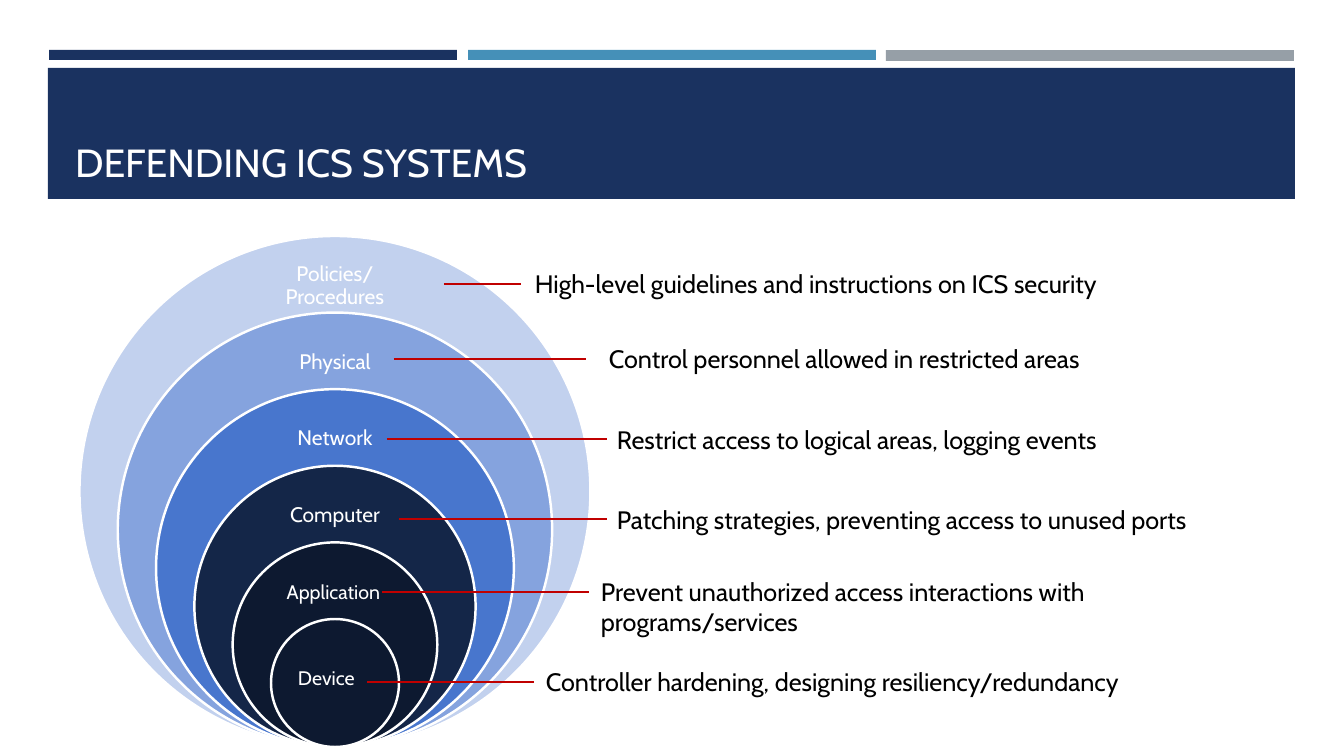
import pptx
import pptx.util
import pptx.dml.color
import pptx.enum.shapes
import pptx.enum.text
import lxml.etree

HEX = {"navy": "1A3260", "gray": "969FA7", "blue": "4590B8", "white": "FFFFFF",
       "black": "000000", "red": "C00000"}
FONT = "Cabin"
TITLE = "DEFENDING ICS SYSTEMS"
BARS = [(49, 50, 408, 10, "navy"), (886, 50, 408, 11, "gray"),
        (468, 50, 408, 10, "blue"), (48, 68, 1247, 131, "navy")]
RINGS = [("C2D1EE", "Policies/Procedures", 192), ("85A3DE", "Physical", 188),
         ("4876CD", "Network", 185), ("142648", "Computer", 152),
         ("0D1930", None, 0), ("0D1930", None, 0)]
INNER = [("Application", 263, 575, 141, "CENTER"), ("Device", 288, 661, 94, "LEFT")]
NOTES = [
    ("High-level guidelines and instructions on ICS security", 444, 521, 525, 263, 597),
    ("Control personnel allowed in restricted areas", 394, 586, 599, 338, 714),
    ("Restrict access to logical areas, logging events", 387, 607, 607, 419, 556),
    ("Patching strategies, preventing access to unused ports", 399, 607, 607, 499, 623),
    ("Prevent unauthorized access interactions with programs/services",
     382, 589, 591, 571, 699),
    ("Controller hardening, designing resiliency/redundancy", 367, 534, 536, 661, 699),
]
MID, BASE, BIG, SMALL = 335, 747, 511, 128
ROW = 40

MSO = pptx.enum.shapes.MSO_SHAPE
ANCHOR = pptx.enum.text.MSO_ANCHOR
ALIGN = pptx.enum.text.PP_ALIGN
FIT = pptx.enum.text.MSO_AUTO_SIZE


def px(n):
    return round(n * 914400 / 100.8)


def rgb(code):
    return pptx.dml.color.RGBColor.from_string(code)


def style(para, size, color, align="LEFT"):
    para.alignment = ALIGN[align]
    para.font.size = pptx.util.Pt(size)
    para.font.name = FONT
    para.font.color.rgb = rgb(HEX[color])


def form(kind, x, y, w, h, fill):
    shape = slide.shapes.add_shape(kind, px(x), px(y), px(w), px(h))
    shape.shadow.inherit = False
    shape.fill.solid()
    shape.fill.fore_color.rgb = rgb(fill)
    shape.line.fill.background()
    return shape


def label(text, x, y, w, h, size, color, align="LEFT"):
    box = slide.shapes.add_textbox(px(x), px(y), px(w), px(h))
    frame = box.text_frame
    frame.word_wrap = True
    frame.auto_size = FIT.SHAPE_TO_FIT_TEXT
    frame.text = text
    style(frame.paragraphs[0], size, color, align)
    return box


deck = pptx.Presentation()
deck.slide_width, deck.slide_height = px(1344), px(756)
slide = deck.slides.add_slide(deck.slide_layouts[5])

for x, y, w, h, color in BARS:
    form(MSO.RECTANGLE, x, y, w, h, HEX[color])

title = slide.shapes.title
title.left, title.top, title.width, title.height = px(65), px(78), px(1216), px(112)
title.text_frame.text = TITLE
title.text_frame.vertical_anchor = ANCHOR.BOTTOM
style(title.text_frame.paragraphs[0], 28, "white")
slide.shapes._spTree.append(title._element)

step = (BIG - SMALL) / (len(RINGS) - 1)
for i, (fill, text, wide) in enumerate(RINGS):
    size = BIG - i * step
    ring = form(MSO.OVAL, MID - size / 2, BASE - size, size, size, fill)
    ring.line.color.rgb = rgb(HEX["white"])
    ring.line.width = pptx.util.Pt(1.75)
    if text:
        box = label(text, MID - wide / 2, BASE - size + 25, wide, 50, 15, "white", "CENTER")
        frame = box.text_frame
        frame.auto_size = FIT.NONE
        frame.vertical_anchor = ANCHOR.MIDDLE
        frame.margin_left = frame.margin_right = px(12)
        frame.margin_top = frame.margin_bottom = px(12)
        frame.paragraphs[0].line_spacing = 0.9

for text, x, y, w, align in INNER:
    label(text, x, y, w, 34, 14, "white", align)

for text, start, end, x, y, w in NOTES:
    box = label(text, x, y, w, ROW, 18, "black")
    mid = px(y + ROW / 2 + 1)
    line = slide.shapes.add_connector(
        pptx.enum.shapes.MSO_CONNECTOR.STRAIGHT, px(start), mid, px(end), mid)
    line.line.color.rgb = rgb(HEX["red"])
    line.line.width = pptx.util.Pt(1)
    lxml.etree.SubElement(line._element.spPr, pptx.oxml.ns.qn("a:effectLst"))
    if end == x:
        line.begin_y = px(y + ROW / 2)
        line.end_connect(box, 1)

deck.save("out.pptx")
